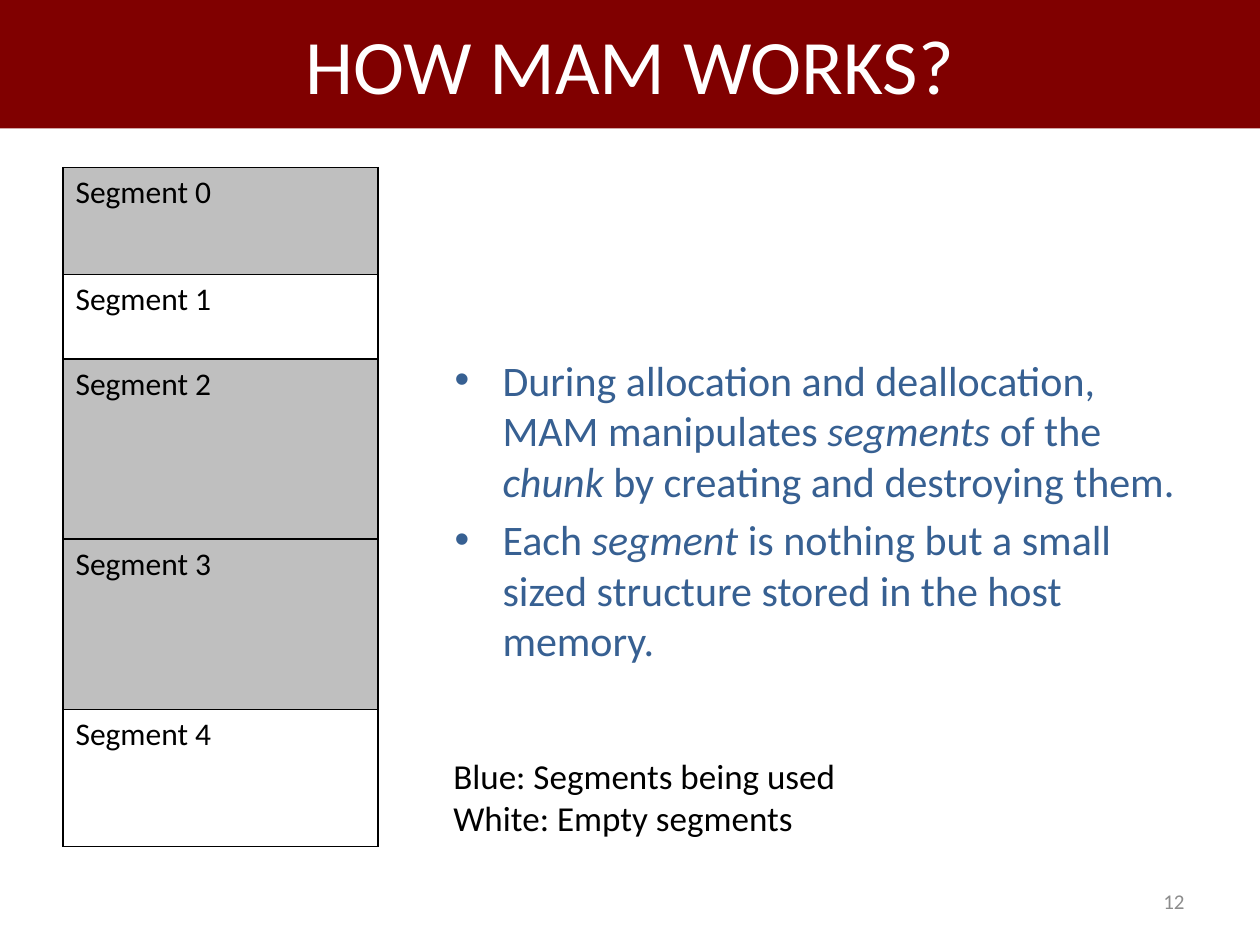
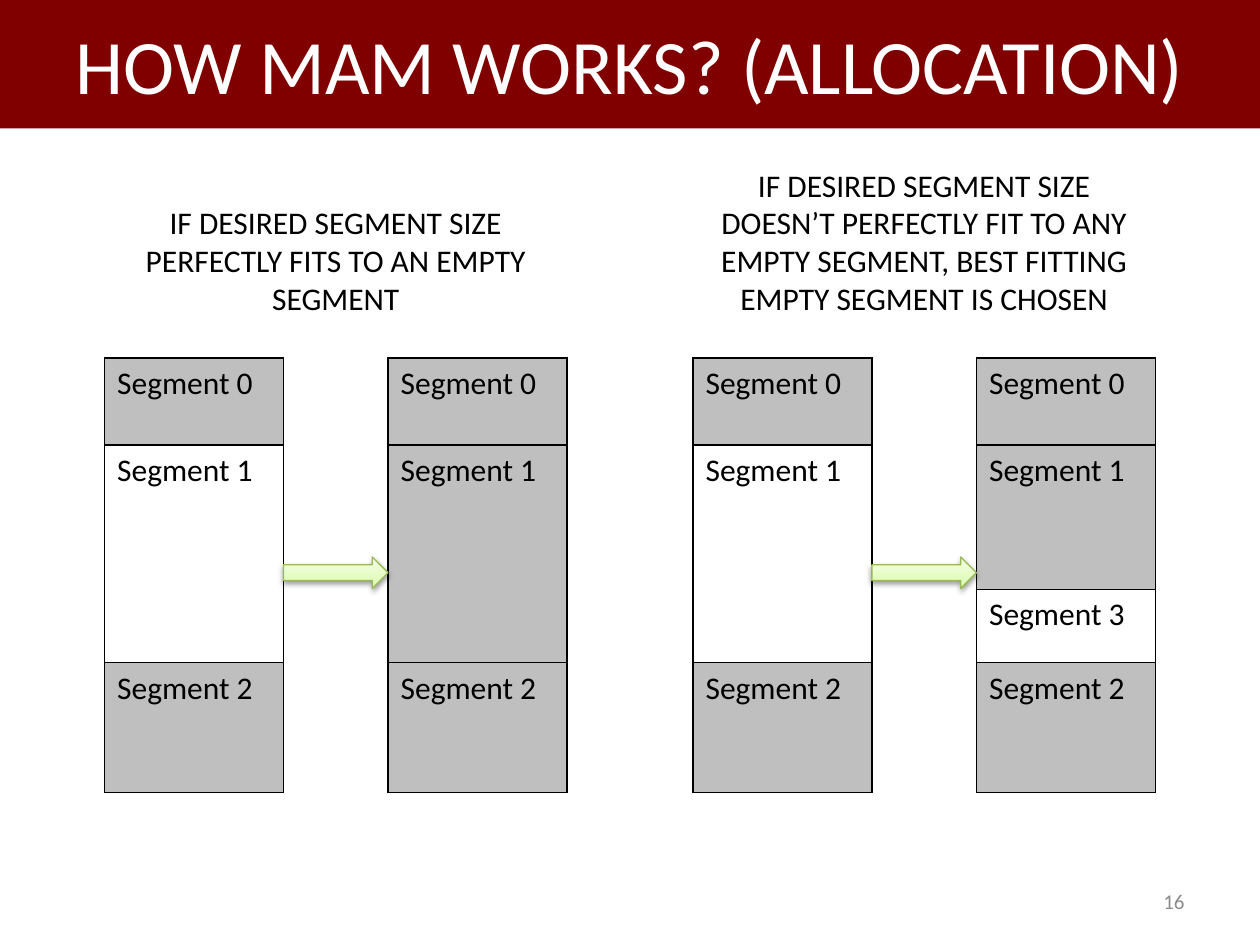
from lxml import etree
from pptx import Presentation
from pptx.dml.color import RGBColor as Rgb
from pptx.enum.shapes import MSO_SHAPE as Shape
from pptx.enum.text import MSO_ANCHOR as Anchor, PP_ALIGN as Align
from pptx.oxml import parse_xml
from pptx.oxml.ns import nsdecls, qn
from pptx.util import Inches, Pt

MAROON = Rgb(0x80, 0x00, 0x00)
WHITE = Rgb(0xFF, 0xFF, 0xFF)
BLACK = Rgb(0x00, 0x00, 0x00)
BLUE = Rgb(0x37, 0x60, 0x92)
GREY = Rgb(0xBF, 0xBF, 0xBF)
DIM = Rgb(0x8C, 0x8C, 0x8C)
GREEN = Rgb(0x98, 0xB9, 0x55)
GLOW = [(0, Rgb(0xDA, 0xFD, 0xA7)), (35, Rgb(0xE4, 0xFC, 0xC2)), (100, Rgb(0xF5, 0xFF, 0xE7))]
SIDES = ("lnL", "lnR", "lnT", "lnB")


def apply(thing, values):
    for name, value in values.items():
        setattr(thing, name, value)


class Deck:
    font = "Calibri"

    def __init__(self):
        self.prs = Presentation()
        apply(self.prs, {"slide_width": Inches(10), "slide_height": Inches(7.5)})
        self.slide = None

    def page(self, title, number):
        self.slide = self.prs.slides.add_slide(self.prs.slide_layouts[6])
        band = self.shape(Shape.RECTANGLE, 0, -0.01, 10, 1.03)
        band.shadow.inherit = False
        band.fill.solid()
        band.fill.fore_color.rgb = MAROON
        band.line.fill.background()
        self.put(band.text_frame, [title], 44, WHITE, Align.CENTER, Anchor.MIDDLE)
        self.text((7.17, 6.95, 2.33, 0.4), [number], 12, DIM, Align.RIGHT, Anchor.MIDDLE)

    def shape(self, kind, *box):
        return self.slide.shapes.add_shape(kind, *map(Inches, box))

    def put(self, frame, lines, size, color, align=Align.LEFT, anchor=Anchor.TOP):
        apply(frame, {"word_wrap": True, "vertical_anchor": anchor})
        for i, line in enumerate(lines):
            para = frame.add_paragraph() if i else frame.paragraphs[0]
            para.alignment = align
            for j, part in enumerate(line.split("*")):
                run = para.add_run()
                run.text = part
                apply(run.font, {"name": self.font, "size": Pt(size), "italic": j % 2 == 1})
                run.font.color.rgb = color

    def text(self, box, lines, size, color=BLACK, align=Align.LEFT, anchor=Anchor.TOP):
        frame = self.slide.shapes.add_textbox(*map(Inches, box)).text_frame
        self.put(frame, lines, size, color, align, anchor)
        return frame

    def bullets(self, box, lines, size, color):
        frame = self.text(box, lines, size, color, anchor=Anchor.MIDDLE)
        for para in frame.paragraphs:
            para.space_before = Pt(size * 0.2)
            props = para._p.get_or_add_pPr()
            props.set("marL", str(Inches(0.38)))
            props.set("indent", str(-Inches(0.38)))
            etree.SubElement(props, qn("a:buFont")).set("typeface", "Arial")
            etree.SubElement(props, qn("a:buChar")).set("char", "•")

    def stack(self, left, top, width, rows):
        tall = sum(row[1] for row in rows)
        box = map(Inches, (left, top, width, tall))
        table = self.slide.shapes.add_table(len(rows), 1, *box).table
        apply(table, {"first_row": False, "horz_banding": False})
        for i, (index, height, used) in enumerate(rows):
            table.rows[i].height = Inches(height)
            cell = table.cell(i, 0)
            self.put(cell.text_frame, [f"Segment {index}"], 18, BLACK)
            props = cell._tc.get_or_add_tcPr()
            for side in SIDES:
                props.append(parse_xml(
                    f'<a:{side} {nsdecls("a")} w="{Pt(1)}"><a:solidFill>'
                    f'<a:srgbClr val="{BLACK}"/></a:solidFill></a:{side}>'))
            cell.fill.solid()
            cell.fill.fore_color.rgb = GREY if used else WHITE

    def arrow(self, *box):
        arrow = self.shape(Shape.RIGHT_ARROW, *box)
        arrow.line.color.rgb = GREEN
        arrow.line.width = Pt(0.75)
        arrow.fill.gradient()
        props = arrow._element.spPr
        stops = "".join(f'<a:gs pos="{pos * 1000}"><a:srgbClr val="{color}"/></a:gs>'
                        for pos, color in GLOW)
        props.replace(props.find(qn("a:gradFill")), parse_xml(
            f'<a:gradFill {nsdecls("a")} rotWithShape="1"><a:gsLst>{stops}</a:gsLst>'
            '<a:lin ang="16200000" scaled="1"/></a:gradFill>'))
        props.append(parse_xml(
            f'<a:effectLst {nsdecls("a")}><a:outerShdw blurRad="{Pt(3.1)}" dist="{Pt(1.6)}" '
            f'dir="5400000" rotWithShape="0"><a:srgbClr val="{BLACK}"><a:alpha val="38000"/>'
            '</a:srgbClr></a:outerShdw></a:effectLst>'))


def works(deck):
    deck.page("HOW MAM WORKS?", "12")
    deck.bullets((3.51, 1.39, 5.99, 5.31), [
        "During allocation and deallocation, MAM manipulates *segments* of the "
        "*chunk* by creating and destroying them.",
        "Each *segment* is nothing but a small sized structure stored in the host memory.",
    ], 24, BLUE)
    deck.stack(0.5, 1.33, 2.5, [(0, 0.85, True), (1, 0.67, False), (2, 1.43, True),
                                (3, 1.35, True), (4, 1.09, False)])
    deck.text((3.5, 5.94, 4.07, 0.77),
              ["Blue: Segments being used", "White: Empty segments"], 20)


def fits(deck):
    deck.page("HOW MAM WORKS? (ALLOCATION)", "16")
    first, last = (0, 0.69, True), (2, 1.03, True)
    cases = [
        (0.83, 1.56, "IF DESIRED SEGMENT SIZE PERFECTLY FITS TO AN EMPTY SEGMENT",
         [(1, 1.73, True)]),
        (5.5, 1.26, "IF DESIRED SEGMENT SIZE DOESN’T PERFECTLY FIT TO ANY EMPTY SEGMENT, "
         "BEST FITTING EMPTY SEGMENT IS CHOSEN", [(1, 1.15, True), (3, 0.58, False)]),
    ]
    top, width, gap = 2.84, 1.42, 0.83
    for left, head, label, after in cases:
        for x, middle in ((left, [(1, 1.73, False)]), (left + width + gap, after)):
            deck.stack(x, top, width, [first, *middle, last])
        deck.arrow(left + width, 4.42, gap, 0.25)
        deck.text((left, head, 2 * width + gap, 2.57 - head), [label], 18,
                  align=Align.CENTER, anchor=Anchor.MIDDLE)


def main():
    deck = Deck()
    works(deck)
    fits(deck)
    deck.prs.save("out.pptx")


if __name__ == "__main__":
    main()
